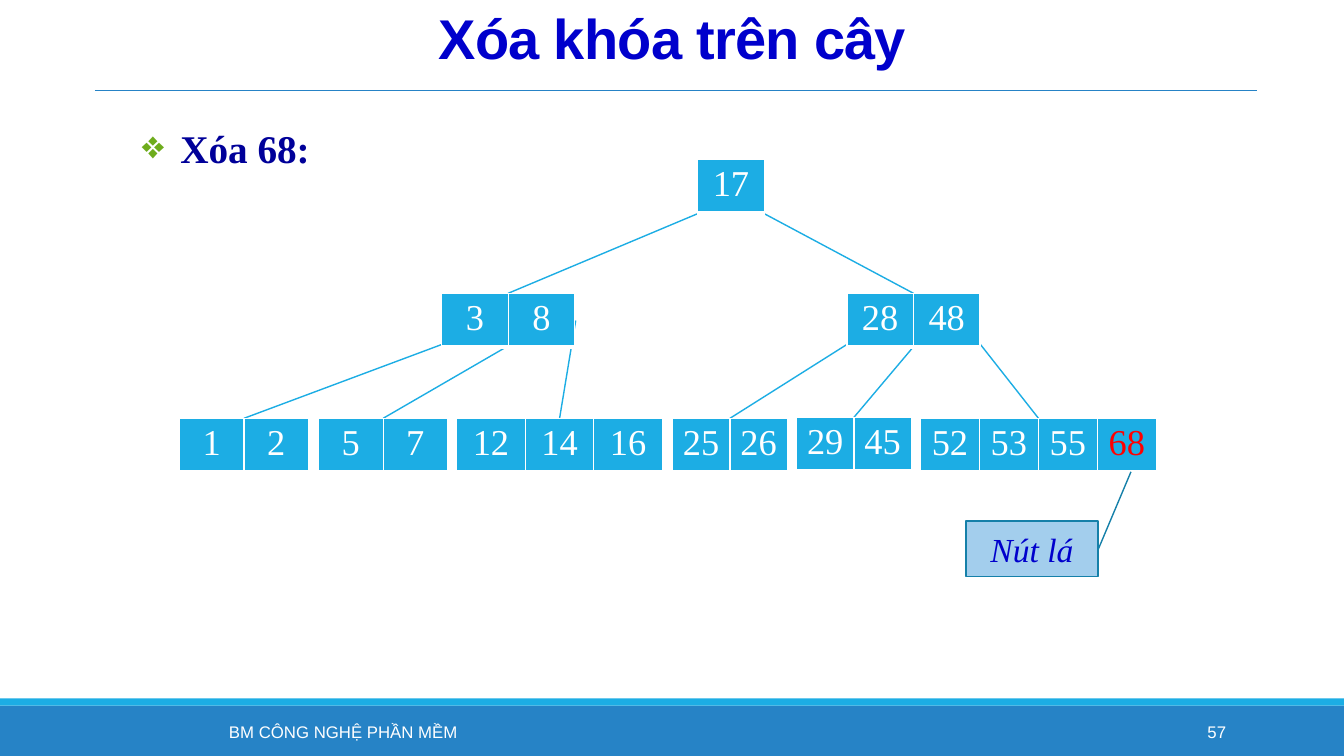
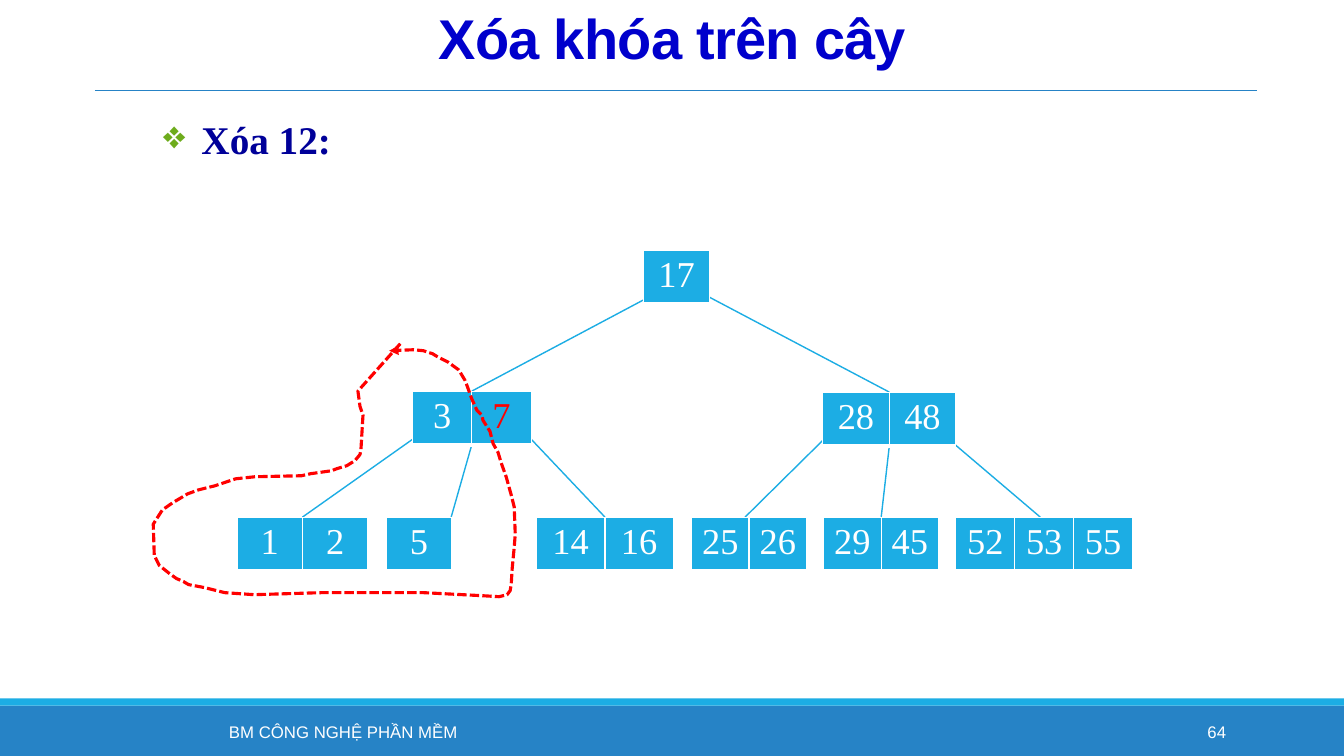
import pptx
import pptx.dml.color
import pptx.enum.dml
import pptx.enum.shapes
import pptx.enum.text
import pptx.oxml.ns
import pptx.util
from lxml import etree

Inches = pptx.util.Inches
Pt = pptx.util.Pt
SHAPE = pptx.enum.shapes.MSO_SHAPE
ALIGN = pptx.enum.text.PP_ALIGN
qn = pptx.oxml.ns.qn

BLUE, CYAN, WHITE, RED = "2683C6", "1CADE4", "FFFFFF", "FF0000"
TITLE_BLUE, HEADING_BLUE, BULLET_GREEN = "0000CC", "000099", "6EAC1C"
CALLOUT_FILL, CALLOUT_LINE = "A3CEED", "1580A9"
SANS, SERIF = "Arial", "Times New Roman"
NODE_HEIGHT = 0.53

TITLE = "Xóa khóa trên cây"
FOOTER = "BM CÔNG NGHỆ PHẦN MỀM"

# Tree node: keys, left, top, key width, where its edge leaves the parent,
# shift of the edge's end from the middle of the node's top
DELETE_68 = {
    "number": "57",
    "heading": ("Xóa 68:", 1.31, 1.24),
    "red_key": "68",
    "nodes": [
        (["17"], 6.92, 1.58, 0.66, None, 0),
        (["3", "8"], 4.38, 2.91, 0.66, (6.92, 2.12), 0),
        (["28", "48"], 8.4, 2.91, 0.66, (7.58, 2.12), 0),
        (["1", "2"], 1.78, 4.15, 0.64, (4.67, 3.31), 0),
        (["5", "7"], 3.16, 4.15, 0.64, (5.25, 3.31), 0),
        (["12", "14", "16"], 4.53, 4.15, 0.68, (5.71, 3.18), 0),
        (["25", "26"], 6.67, 4.15, 0.57, (8.57, 3.31), 0),
        (["29", "45"], 7.9, 4.14, 0.57, (9.06, 3.44), 0),
        (["52", "53", "55", "68"], 9.13, 4.15, 0.585, (9.42, 3.03), 0),
    ],
}
DELETE_12 = {
    "number": "64",
    "heading": ("Xóa 12:", 1.52, 1.15),
    "red_key": "7",
    "nodes": [
        (["17"], 6.38, 2.48, 0.66, None, 0),
        (["3", "7"], 4.09, 3.88, 0.59, (6.43, 2.95), 0),
        (["28", "48"], 8.16, 3.89, 0.66, (7.02, 2.94), 0),
        (["1", "2"], 2.35, 5.13, 0.65, (4.33, 4.19), 0),
        (["5"], 3.83, 5.13, 0.65, (4.68, 4.41), 0.32),
        (["14", "16"], 5.32, 5.13, 0.68, (5.11, 4.19), 0),
        (["25", "26"], 6.86, 5.13, 0.57, (8.18, 4.35), -0.04),
        (["29", "45"], 8.17, 5.13, 0.57, (8.82, 4.43), 0),
        (["52", "53", "55"], 9.48, 5.13, 0.585, (9.4, 4.35), -0.04),
    ],
}
MERGE_LOOP = [
    (3.97, 3.41), (3.55, 3.88), (3.57, 4.03), (3.6, 4.12), (3.58, 4.46),
    (3.57, 4.51), (3.52, 4.57), (3.44, 4.62), (3.34, 4.65), (3.29, 4.67),
    (3.08, 4.7), (2.99, 4.72), (2.53, 4.73), (2.34, 4.75), (2.13, 4.82),
    (1.97, 4.86), (1.86, 4.9), (1.71, 4.99), (1.61, 5.06), (1.52, 5.2),
    (1.53, 5.51), (1.58, 5.61), (1.68, 5.69), (1.75, 5.74), (1.82, 5.77),
    (1.87, 5.8), (2.03, 5.83), (2.23, 5.88), (2.52, 5.9), (3.19, 5.88),
    (4.2, 5.88), (4.78, 5.91), (4.95, 5.92), (5.03, 5.9), (5.06, 5.86),
    (5.07, 5.8), (5.08, 5.64), (5.1, 5.43), (5.11, 5.3), (5.1, 5.03),
    (5.07, 4.91), (5.02, 4.73), (4.97, 4.59), (4.94, 4.49), (4.89, 4.4),
    (4.86, 4.28), (4.79, 4.17), (4.78, 4.12), (4.73, 4.07), (4.68, 3.96),
    (4.63, 3.82), (4.61, 3.77), (4.55, 3.67), (4.44, 3.59), (4.34, 3.54),
    (4.29, 3.51), (4.2, 3.48), (4.1, 3.47), (3.86, 3.48),
]


def color(hex_code):
    return pptx.dml.color.RGBColor.from_string(hex_code)


def fill_with(part, hex_code):
    part.fill.solid()
    part.fill.fore_color.rgb = color(hex_code)


def set_line(line, hex_code, width):
    line.color.rgb = color(hex_code)
    line.width = Pt(width)


def write(frame, text, size, font, hex_code, align, bold=False, italic=False):
    frame.text = text
    paragraph = frame.paragraphs[0]
    paragraph.alignment = align
    run = paragraph.runs[0]
    run.font.size = Pt(size)
    run.font.name = font
    run.font.bold = bold
    run.font.italic = italic
    run.font.color.rgb = color(hex_code)
    return paragraph


def add_text(slide, box, *style, middle=True, **emphasis):
    frame = slide.shapes.add_textbox(*map(Inches, box)).text_frame
    frame.word_wrap = True
    if middle:
        frame.vertical_anchor = pptx.enum.text.MSO_ANCHOR.MIDDLE
    return write(frame, *style, **emphasis)


def add_box(slide, preset, box, fill):
    shape = slide.shapes.add_shape(preset, *map(Inches, box))
    shape.shadow.inherit = False
    fill_with(shape, fill)
    shape.line.fill.background()
    return shape


def add_line(slide, start, end, hex_code, width):
    connector = slide.shapes.add_connector(
        pptx.enum.shapes.MSO_CONNECTOR.STRAIGHT, *map(Inches, (*start, *end)))
    set_line(connector.line, hex_code, width)
    etree.SubElement(connector._element.spPr, qn("a:effectLst"))


def set_borders(cell):
    """White cell edges, heavier at the bottom."""
    properties = cell._tc.get_or_add_tcPr()
    for position, (side, width) in enumerate(
            [("lnL", 1), ("lnR", 1), ("lnT", 1), ("lnB", 3)]):
        edge = etree.Element(qn("a:" + side), w=str(Pt(width)))
        solid = etree.SubElement(edge, qn("a:solidFill"))
        etree.SubElement(solid, qn("a:srgbClr"), val=WHITE)
        properties.insert(position, edge)


def add_node(slide, keys, left, top, key_width, red_key):
    table = slide.shapes.add_table(
        1, len(keys), Inches(left), Inches(top),
        Inches(key_width * len(keys)), Inches(NODE_HEIGHT)).table
    table.first_row = table.horz_banding = False
    for cell, key in zip(table.iter_cells(), keys):
        fill_with(cell, CYAN)
        set_borders(cell)
        write(cell.text_frame, key, 26, SERIF,
              RED if key == red_key else WHITE, ALIGN.CENTER)


def add_tree(slide, nodes, red_key):
    """Edges first, so that the nodes cover their ends."""
    for keys, left, top, key_width, start, shift in nodes:
        if start:
            middle = left + key_width * len(keys) / 2
            add_line(slide, start, (middle + shift, top), CYAN, 1)
    for keys, left, top, key_width, *_ in nodes:
        add_node(slide, keys, left, top, key_width, red_key)


def add_heading(slide, text, left, top):
    paragraph = add_text(slide, (left, top, 10.38, 0.53), text, 28, SERIF,
                         HEADING_BLUE, ALIGN.JUSTIFY, middle=False, bold=True)
    properties = paragraph._p.get_or_add_pPr()
    properties.set("marL", str(Inches(0.38)))
    properties.set("indent", str(-Inches(0.38)))
    bullet_color = etree.SubElement(properties, qn("a:buClr"))
    etree.SubElement(bullet_color, qn("a:srgbClr"), val=BULLET_GREEN)
    etree.SubElement(properties, qn("a:buChar"), char="❖")
    paragraph.line_spacing = 0.9


def add_leaf_callout(slide):
    callout = add_box(slide, SHAPE.LINE_CALLOUT_1, (9.58, 5.17, 1.31, 0.55),
                      CALLOUT_FILL)
    for index, value in enumerate((0.52, 1.0, -0.89, 1.25)):
        callout.adjustments[index] = value
    set_line(callout.line, CALLOUT_LINE, 1)
    callout.text_frame.vertical_anchor = pptx.enum.text.MSO_ANCHOR.MIDDLE
    write(callout.text_frame, "Nút lá", 24, SERIF, TITLE_BLUE, ALIGN.CENTER,
          italic=True)


def add_merge_loop(slide):
    start, *others = [(Inches(x), Inches(y)) for x, y in MERGE_LOOP]
    builder = slide.shapes.build_freeform(*start)
    builder.add_line_segments(others, close=False)
    loop = builder.convert_to_shape()
    loop.shadow.inherit = False
    loop.fill.background()
    set_line(loop.line, RED, 2.25)
    loop.line.dash_style = pptx.enum.dml.MSO_LINE.SQUARE_DOT
    etree.SubElement(loop.line._get_or_add_ln(), qn("a:tailEnd"),
                     type="triangle")


def add_tree_slide(deck, content):
    slide = deck.slides.add_slide(deck.slide_layouts[6])
    add_box(slide, SHAPE.RECTANGLE, (0, 7, 13.33, 0.5), BLUE)
    add_box(slide, SHAPE.RECTANGLE, (0, 6.93, 13.33, 0.07), CYAN)
    add_line(slide, (0.94, 0.9), (12.47, 0.9), BLUE, 0.5)
    title = add_text(slide, (0.85, 0.04, 11.64, 0.77), TITLE, 40, SANS,
                     TITLE_BLUE, ALIGN.CENTER, bold=True)
    title.line_spacing = 0.85
    title.runs[0]._r.get_or_add_rPr().set("spc", "-50")
    add_heading(slide, *content["heading"])
    add_tree(slide, content["nodes"], content["red_key"])
    add_text(slide, (1.2, 7.06, 4.41, 0.4), FOOTER, 12, SANS, WHITE,
             ALIGN.CENTER)
    add_text(slide, (10.83, 7.06, 1.43, 0.4), content["number"], 12, SANS,
             WHITE, ALIGN.RIGHT)
    return slide


def main():
    deck = pptx.Presentation()
    deck.slide_width, deck.slide_height = Inches(13.33), Inches(7.5)
    add_leaf_callout(add_tree_slide(deck, DELETE_68))
    add_merge_loop(add_tree_slide(deck, DELETE_12))
    deck.save("out.pptx")


if __name__ == "__main__":
    main()
